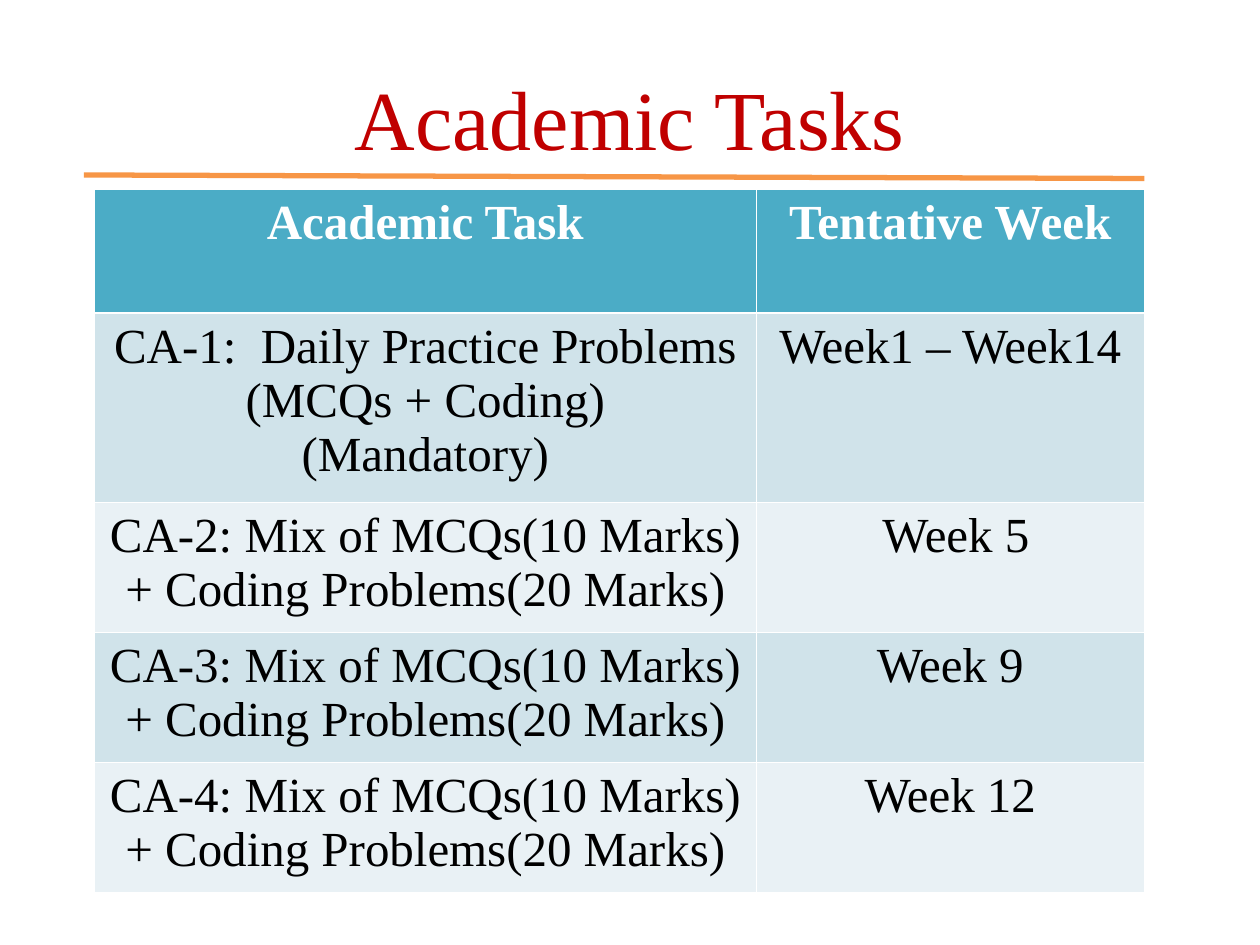
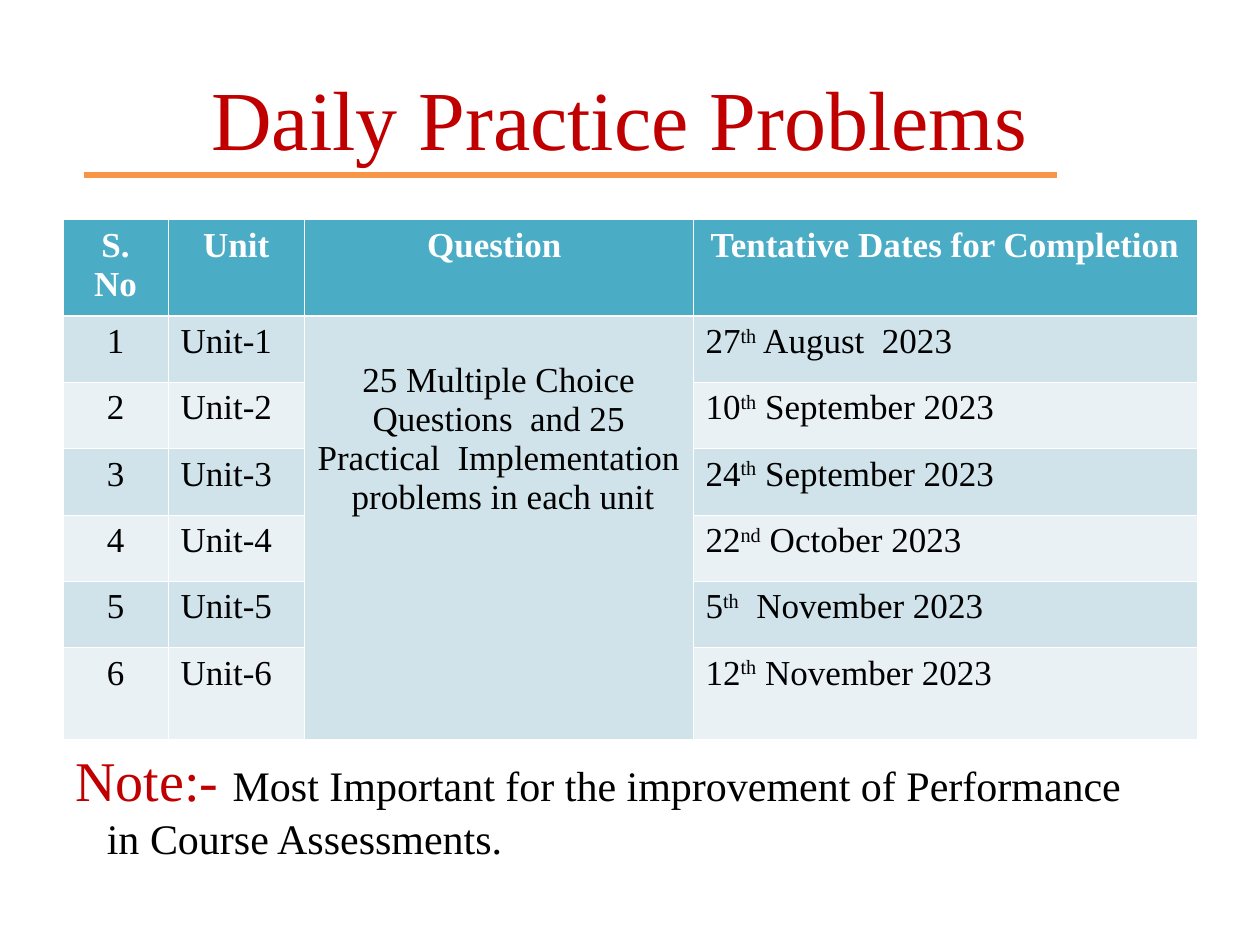
from lxml import etree
from pptx import Presentation
from pptx.dml.color import RGBColor
from pptx.enum import shapes, text
from pptx.oxml import ns
from pptx.util import Pt

FONT = "Times New Roman"
COLORS = {
    "title": "C00000",
    "rule": "F79646",
    "header": "4BACC6",
    "odd": "D0E3EA",
    "even": "E9F1F5",
    "white": "FFFFFF",
    "black": "000000",
}
CENTER, LEFT = text.PP_ALIGN.CENTER, text.PP_ALIGN.LEFT

MIXED_TASK = "Mix of MCQs(10 Marks) + Coding Problems(20 Marks)"
TASK_ROWS = [
    ("Academic Task", "Tentative Week"),
    ("CA-1:  Daily Practice Problems (MCQs + Coding)\n(Mandatory)", "Week1 – Week14"),
    (f"CA-2: {MIXED_TASK}", " Week 5"),
    (f"CA-3: {MIXED_TASK}", "Week 9"),
    (f"CA-4: {MIXED_TASK}", "Week 12"),
]
UNIT_HEADER = ("S. No", "Unit", "Question ", "Tentative Dates for Completion")
UNIT_QUESTIONS = "25 Multiple Choice Questions  and 25 Practical  Implementation  problems in each unit"
COMPLETION_DATES = [
    ("27", "th", " August  2023"),
    ("10", "th", " September 2023"),
    ("24", "th", " September 2023"),
    ("22", "nd", " October 2023"),
    ("5", "th", "  November 2023"),
    ("12", "th", " November 2023"),
]
NOTE_LABEL = "Note:- "
NOTE_LINES = (
    "Most Important for the improvement of Performance",
    "in Course Assessments.",
)


def rgb(name):
    return RGBColor.from_string(COLORS[name])


def add_run(paragraph, words, size, color, bold=False, raised=False):
    run = paragraph.add_run()
    run.text = words
    run.font.name = FONT
    run.font.size = Pt(size)
    run.font.bold = bold
    run.font.color.rgb = rgb(color)
    if raised:
        run._r.get_or_add_rPr().set("baseline", "30000")


def add_titled_slide(presentation, title, rule_start, rule_end):
    slide = presentation.slides.add_slide(presentation.slide_layouts[5])
    shape = slide.shapes.title
    shape.left, shape.top, shape.width, shape.height = Pt(36), Pt(21.6), Pt(648), Pt(90)
    shape.text_frame.vertical_anchor = text.MSO_ANCHOR.MIDDLE
    paragraph = shape.text_frame.paragraphs[0]
    paragraph.alignment = CENTER
    add_run(paragraph, title, 48, "title")

    ends = [Pt(value) for value in rule_start + rule_end]
    rule = slide.shapes.add_connector(shapes.MSO_CONNECTOR.STRAIGHT, *ends)
    rule.line.color.rgb = rgb("rule")
    rule.line.width = Pt(3)
    etree.SubElement(rule._element.spPr, ns.qn("a:effectLst"))
    return slide


def set_borders(cell, row_index):
    thin, thick = Pt(0.45), Pt(1.47)
    widths = {
        "L": thin,
        "R": thin,
        "T": thick if row_index == 1 else thin,
        "B": thick if row_index == 0 else thin,
    }
    properties = cell._tc.get_or_add_tcPr()
    for side, width in widths.items():
        line = etree.SubElement(properties, ns.qn(f"a:ln{side}"), w=str(width))
        fill = etree.SubElement(line, ns.qn("a:solidFill"))
        etree.SubElement(fill, ns.qn("a:srgbClr"), val=COLORS["white"])


def fill_cell(cell, content, row_index, size, alignment):
    is_header = row_index == 0
    set_borders(cell, row_index)
    cell.fill.solid()
    cell.fill.fore_color.rgb = rgb("header" if is_header else "odd" if row_index % 2 else "even")
    if not content:
        return
    lines = content.split("\n") if isinstance(content, str) else [content]
    frame = cell.text_frame
    for line_index, line in enumerate(lines):
        paragraph = frame.add_paragraph() if line_index else frame.paragraphs[0]
        paragraph.alignment = CENTER if is_header else alignment
        parts = (line,) if isinstance(line, str) else line
        for part_index, part in enumerate(parts):
            add_run(paragraph, part, size, "white" if is_header else "black",
                    bold=is_header, raised=part_index == 1)


def add_grid(slide, rows, left, top, widths, heights, size, alignments):
    frame = slide.shapes.add_table(len(rows), len(widths), Pt(left), Pt(top),
                                   Pt(sum(widths)), Pt(sum(heights)))
    table = frame.table
    for column, width in zip(table.columns, widths):
        column.width = Pt(width)
    for row_index, (row, height) in enumerate(zip(rows, heights)):
        table.rows[row_index].height = Pt(height)
        for column_index, content in enumerate(row):
            fill_cell(table.cell(row_index, column_index), content,
                      row_index, size, alignments[column_index])
    return table


def add_note(slide):
    box = slide.shapes.add_textbox(Pt(36), Pt(414.7), Pt(648), Pt(90))
    frame = box.text_frame
    frame.word_wrap = True
    frame.vertical_anchor = text.MSO_ANCHOR.MIDDLE
    paragraph = frame.paragraphs[0]
    properties = paragraph._p.get_or_add_pPr()
    properties.set("marL", str(Pt(18)))
    properties.set("indent", str(-Pt(18)))
    add_run(paragraph, NOTE_LABEL, 32, "title")
    add_run(paragraph, NOTE_LINES[0], 24, "black")
    paragraph.add_line_break()
    add_run(paragraph, NOTE_LINES[1], 24, "black")


def build_tasks(presentation):
    slide = add_titled_slide(presentation, "Academic Tasks", (48, 100), (654, 102))
    add_grid(slide, TASK_ROWS, 54, 108, (378, 222), [71, 108] + [74.4] * 3,
             28, (CENTER, CENTER))


def build_practice(presentation):
    slide = add_titled_slide(presentation, "Daily Practice Problems ", (48, 100), (604, 100))
    rows = [UNIT_HEADER]
    for number, date in enumerate(COMPLETION_DATES, 1):
        rows.append((str(number), f"Unit-{number}", UNIT_QUESTIONS if number == 1 else "", date))
    table = add_grid(slide, rows, 36, 125.6, (60, 78, 222, 288), [55] + [37.9] * 5 + [52.6],
                     20, (CENTER, LEFT, CENTER, LEFT))
    questions = table.cell(1, 2)
    questions.merge(table.cell(len(COMPLETION_DATES), 2))
    questions.margin_top = Pt(25.8)
    add_note(slide)


def main():
    presentation = Presentation()
    presentation.slide_width, presentation.slide_height = Pt(720), Pt(540)
    build_tasks(presentation)
    build_practice(presentation)
    presentation.save("out.pptx")


if __name__ == "__main__":
    main()
